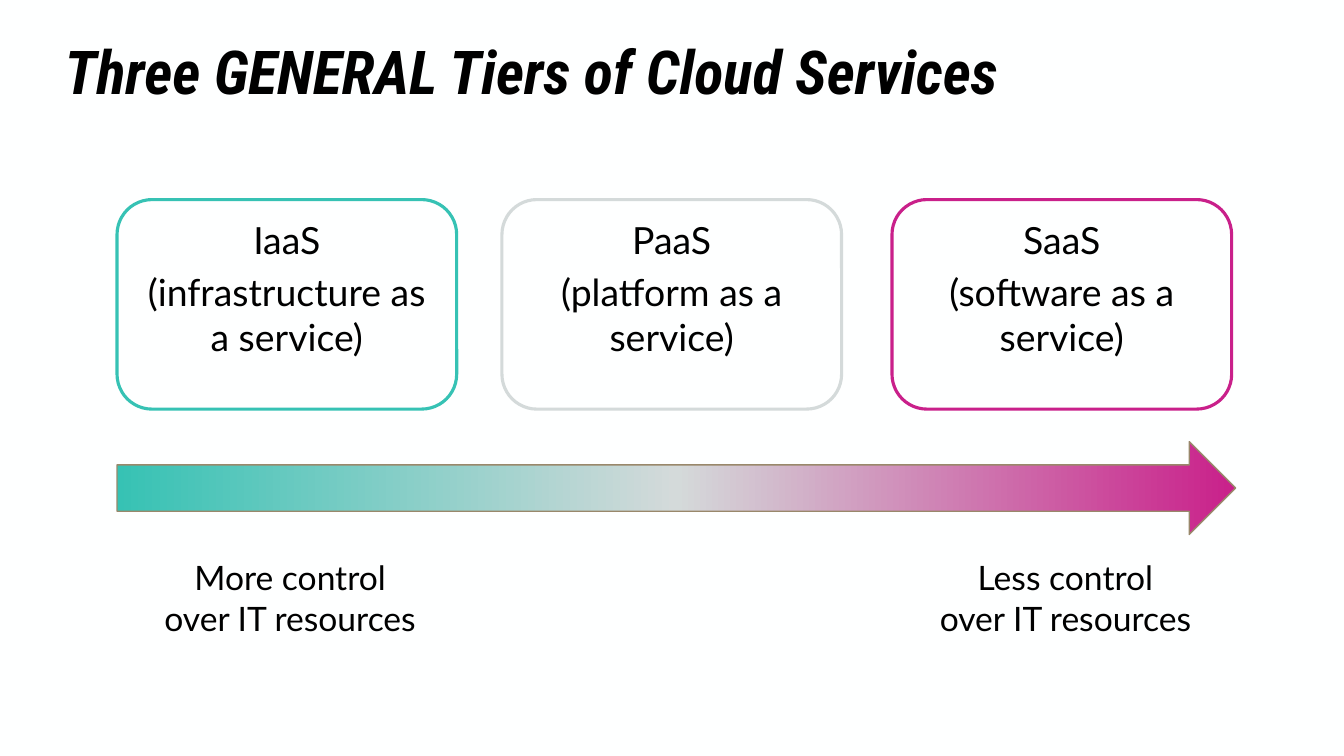
from copy import deepcopy

from pptx import Presentation, util as u
from pptx.dml.color import RGBColor
from pptx.enum import shapes, text

COLOURS = {
    "paper": "FEFFFF", "ink": "000000", "arrow edge": "99886B",
    "teal": "36C2B4", "grey": "D4DADA", "magenta": "C9208A",
}


def rgb(name):
    return RGBColor.from_string(COLOURS[name])


def add_words(paragraph, words, size, font="Lato"):
    run = paragraph.add_run()
    run.text = words
    run.font.name = font
    run.font.size = u.Pt(size)
    run.font.color.rgb = rgb("ink")
    return run


deck = Presentation()
deck.slide_width, deck.slide_height = u.Cm(33.87), u.Cm(19.05)
slide = deck.slides.add_slide(deck.slide_layouts[5])
slide.background.fill.solid()
slide.background.fill.fore_color.rgb = rgb("paper")

# Title
title = slide.shapes.title
title.left, title.top = u.Cm(1.3), u.Cm(1.07)
title.width, title.height = u.Cm(31.29), u.Cm(1.63)
title_frame = title.text_frame
title_frame.auto_size = text.MSO_AUTO_SIZE.NONE
title_frame.vertical_anchor = text.MSO_ANCHOR.MIDDLE
title_frame.margin_left = title_frame.margin_right = u.Cm(0.33)
heading = title_frame.paragraphs[0]
heading.alignment = text.PP_ALIGN.LEFT
heading.line_spacing = 0.9
heading_run = add_words(heading, "Three GENERAL Tiers of Cloud Services", 43.2, "Roboto Condensed")
heading_run.font.bold = heading_run.font.italic = True

# Service tiers
tiers = [
    (2.95, "teal", "IaaS", "(infrastructure as a service)"),
    (12.65, "grey", "PaaS", "(platform as a service)"),
    (22.48, "magenta", "SaaS", "(software as a service)"),
]
for left, colour, acronym, meaning in tiers:
    tier = slide.shapes.add_shape(
        shapes.MSO_SHAPE.ROUNDED_RECTANGLE, u.Cm(left), u.Cm(5.03), u.Cm(8.56), u.Cm(5.28))
    tier.shadow.inherit = False
    tier.fill.solid()
    tier.fill.fore_color.rgb = rgb("paper")
    tier.line.color.rgb = rgb(colour)
    tier.line.width = u.Pt(2.25)
    frame = tier.text_frame
    frame.word_wrap = True
    frame.vertical_anchor = text.MSO_ANCHOR.TOP
    frame.margin_left = frame.margin_right = u.Cm(0.33)
    frame.margin_top = frame.margin_bottom = u.Cm(0.18)
    name_line, meaning_line = frame.paragraphs[0], frame.add_paragraph()
    meaning_line.space_before = u.Pt(5.3)
    for line, words in ((name_line, acronym), (meaning_line, meaning)):
        line.alignment = text.PP_ALIGN.CENTER
        add_words(line, words, 26.7)

# Control arrow, shaded through the three tier colours
arrow = slide.shapes.add_shape(
    shapes.MSO_SHAPE.RIGHT_ARROW, u.Cm(2.95), u.Cm(11.13), u.Cm(28.19), u.Cm(2.34))
arrow.shadow.inherit = False
arrow.line.color.rgb = rgb("arrow edge")
arrow.line.width = u.Pt(1)
arrow.fill.gradient()
arrow.fill.gradient_angle = 0
stop_list = arrow.fill._fill._gradFill.gsLst
stop_list.insert(1, deepcopy(stop_list[0]))
for stop, position, colour in zip(
        arrow.fill.gradient_stops, (0, 0.5, 1), ("teal", "grey", "magenta")):
    stop.position = position
    stop.color.rgb = rgb(colour)

# Captions at the two ends of the arrow
for left, amount in ((3.78, "More control"), (23.32, "Less control")):
    caption = slide.shapes.add_textbox(u.Cm(left), u.Cm(13.92), u.Cm(7.06), u.Cm(2.31))
    caption.text_frame.word_wrap = False
    caption.text_frame.auto_size = text.MSO_AUTO_SIZE.SHAPE_TO_FIT_TEXT
    caption_line = caption.text_frame.paragraphs[0]
    caption_line.alignment = text.PP_ALIGN.CENTER
    add_words(caption_line, amount, 24)
    caption_line.add_line_break()
    add_words(caption_line, "over IT resources", 24)

deck.save("out.pptx")
